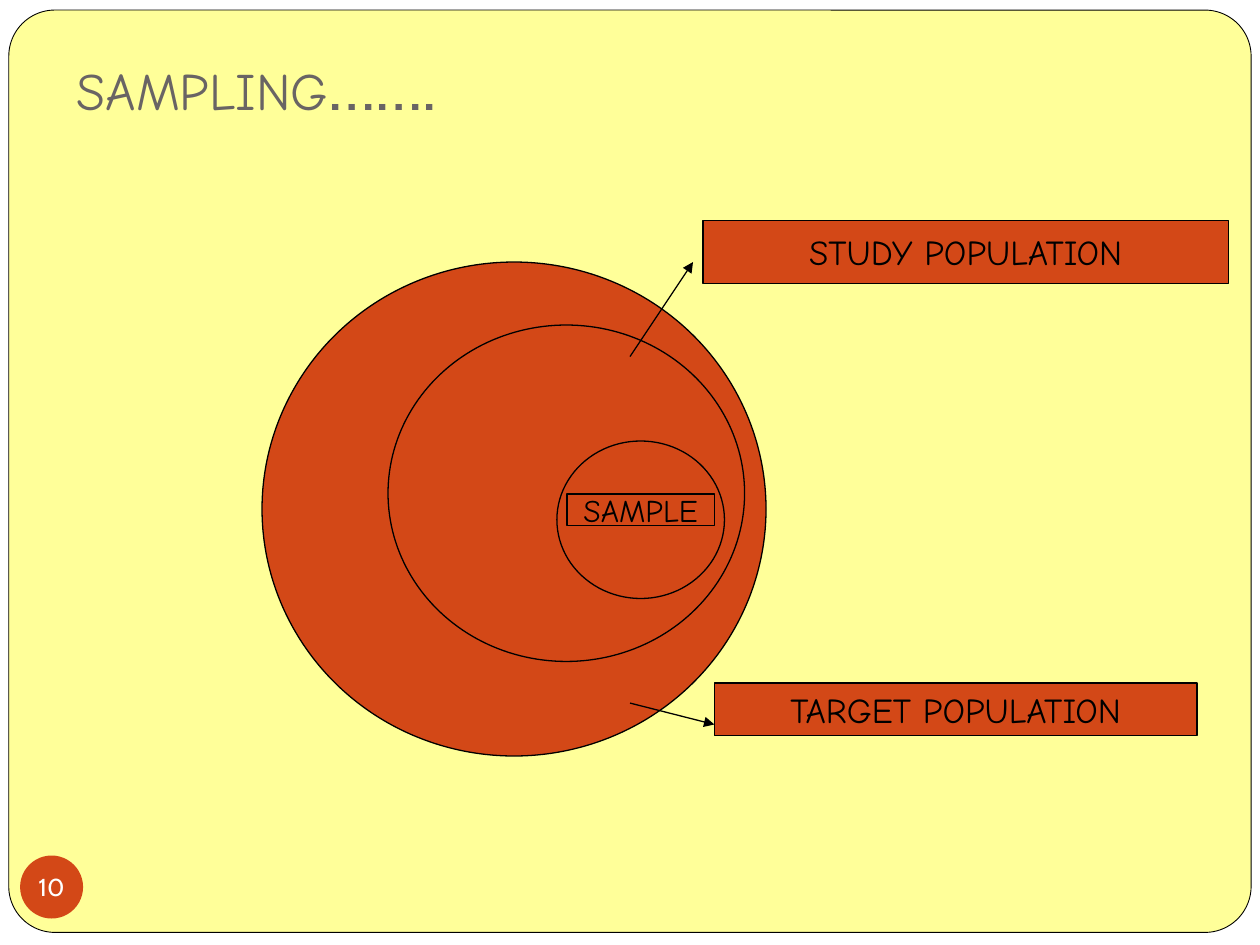
from dataclasses import dataclass

import pptx
import pptx.dml.color
import pptx.enum.shapes
import pptx.enum.text
import pptx.oxml.ns
import pptx.util
from lxml import etree
from pptx.util import Inches

SHAPE = pptx.enum.shapes.MSO_SHAPE
ANCHOR = pptx.enum.text.MSO_ANCHOR
ALIGN = pptx.enum.text.PP_ALIGN


@dataclass(frozen=True)
class Theme:
    paper: str = "FFFF99"
    accent: str = "D34817"
    ink: str = "000000"
    white: str = "FFFFFF"
    title: str = "696464"
    hand: str = "Comic Neue"
    sans: str = "Cabin"
    title_size: float = 30
    dots_size: float = 40
    label_size: float = 20
    sample_size: float = 18
    number_size: float = 14
    frame_line: float = 0.5
    line: float = 0.75


@dataclass(frozen=True)
class Box:
    left: float
    top: float
    width: float
    height: float


@dataclass(frozen=True)
class Label:
    text: str
    box: Box
    size: float


@dataclass(frozen=True)
class Arrow:
    x1: float
    y1: float
    x2: float
    y2: float


THEME = Theme()

POPULATIONS = [  # target, study, sample
    Box(2.08, 2.08, 4, 3.92),
    Box(3.08, 2.58, 2.83, 2.67),
    Box(4.42, 3.5, 1.33, 1.25),
]
LABELS = [
    Label("TARGET POPULATION", Box(5.67, 5.42, 3.83, 0.42), THEME.label_size),
    Label("STUDY POPULATION", Box(5.58, 1.75, 4.17, 0.5), THEME.label_size),
    Label("SAMPLE", Box(4.5, 3.92, 1.17, 0.25), THEME.sample_size),
]
ARROWS = [Arrow(5, 2.83, 5.5, 2.08), Arrow(5, 5.58, 5.67, 5.75)]


def rgb(color: str) -> pptx.dml.color.RGBColor:
    return pptx.dml.color.RGBColor.from_string(color)


def style_run(r, font: str, size: float, color: str) -> None:
    r.font.name = font
    r.font.size = pptx.util.Pt(size)
    r.font.color.rgb = rgb(color)


def add_filled(s, kind, box: Box, fill: str, line: float = 0):
    sp = s.shapes.add_shape(kind, Inches(box.left), Inches(box.top),
                            Inches(box.width), Inches(box.height))
    sp.shadow.inherit = False
    sp.fill.solid()
    sp.fill.fore_color.rgb = rgb(fill)
    if line:
        sp.line.color.rgb = rgb(THEME.ink)
        sp.line.width = pptx.util.Pt(line)
    else:
        sp.line.fill.background()
    return sp


def center_text(sp, text: str, font: str, size: float, color: str) -> None:
    tf = sp.text_frame
    tf.text = text
    tf.word_wrap = False
    tf.vertical_anchor = ANCHOR.MIDDLE
    p = tf.paragraphs[0]
    p.alignment = ALIGN.CENTER
    style_run(p.runs[0], font, size, color)


def add_arrow(s, arrow: Arrow) -> None:
    line = s.shapes.add_connector(
        pptx.enum.shapes.MSO_CONNECTOR.STRAIGHT, Inches(arrow.x1),
        Inches(arrow.y1), Inches(arrow.x2), Inches(arrow.y2))
    line.line.color.rgb = rgb(THEME.ink)
    line.line.width = pptx.util.Pt(THEME.line)
    ln = line.line._get_or_add_ln()
    etree.SubElement(ln, pptx.oxml.ns.qn("a:tailEnd"), type="triangle")
    etree.SubElement(line._element.spPr, pptx.oxml.ns.qn("a:effectLst"))


def add_title(s) -> None:
    sp = s.shapes.add_textbox(Inches(0.51), Inches(0.19), Inches(8.24), Inches(0.9))
    tf = sp.text_frame
    tf.word_wrap = True
    tf.vertical_anchor = ANCHOR.BOTTOM
    tf.margin_bottom = Inches(0.1)
    tf.text = "SAMPLING"
    p = tf.paragraphs[0]
    style_run(p.runs[0], THEME.hand, THEME.title_size, THEME.title)
    dots = p.add_run()
    dots.text = "……."
    style_run(dots, THEME.sans, THEME.dots_size, THEME.title)


def add_slide_number(s) -> None:
    sp = add_filled(s, SHAPE.OVAL, Box(0.16, 6.79, 0.5, 0.5), THEME.accent)
    tf = sp.text_frame
    tf.margin_left = tf.margin_right = tf.margin_top = tf.margin_bottom = 0
    center_text(sp, "10", THEME.sans, THEME.number_size, THEME.white)


def main() -> None:
    prs = pptx.Presentation()
    prs.slide_width, prs.slide_height = Inches(10), Inches(7.5)
    s = prs.slides.add_slide(prs.slide_layouts[6])

    # Background and rounded frame
    s.background.fill.solid()
    s.background.fill.fore_color.rgb = rgb(THEME.paper)
    add_filled(s, SHAPE.RECTANGLE, Box(0, 0, 10, 7.5), THEME.white)
    frame = add_filled(s, SHAPE.ROUNDED_RECTANGLE, Box(0.07, 0.08, 9.86, 7.32),
                       THEME.paper, THEME.frame_line)
    frame.adjustments[0] = 0.05

    # Title and slide number
    add_title(s)
    add_slide_number(s)

    # Nested populations
    for box in POPULATIONS:
        add_filled(s, SHAPE.OVAL, box, THEME.accent, THEME.line)

    # Labels and the arrows that point to them
    for label in LABELS:
        sp = add_filled(s, SHAPE.RECTANGLE, label.box, THEME.accent, THEME.line)
        center_text(sp, label.text, THEME.hand, label.size, THEME.ink)
    for arrow in ARROWS:
        add_arrow(s, arrow)

    prs.save("out.pptx")


if __name__ == "__main__":
    main()
